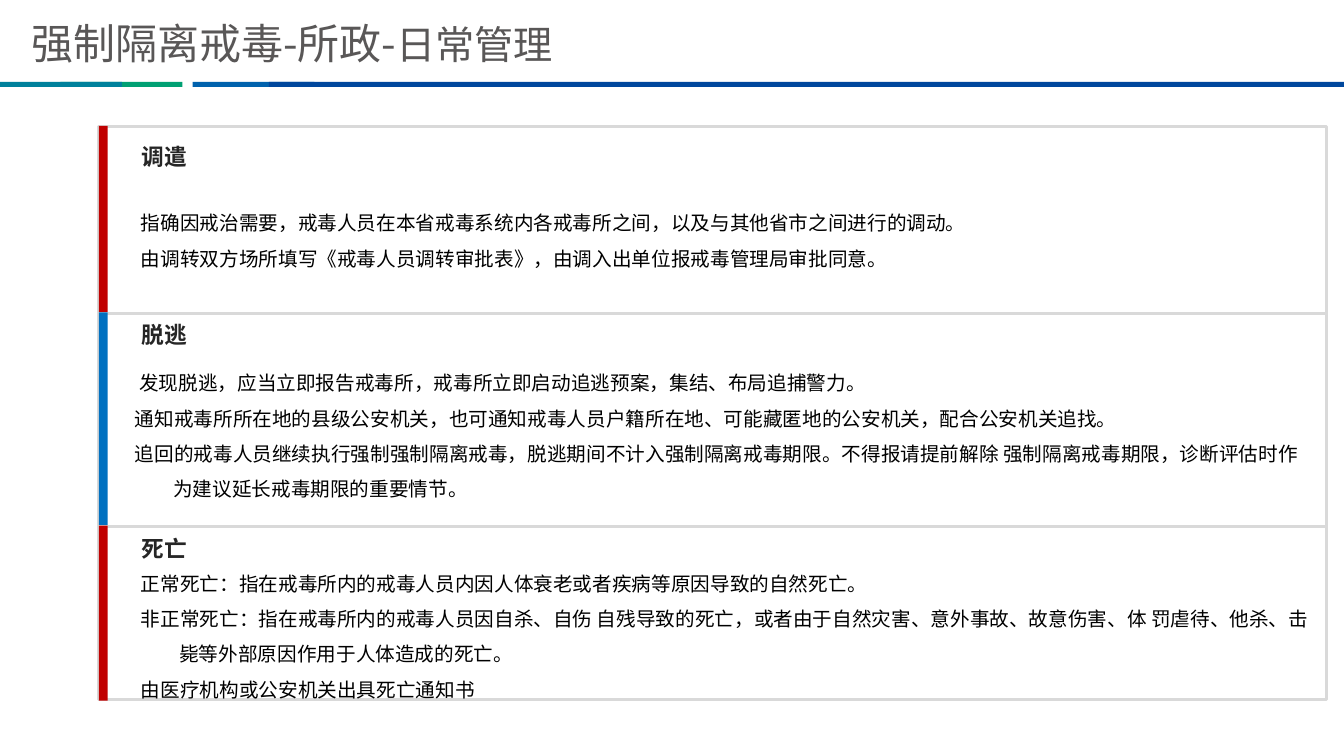
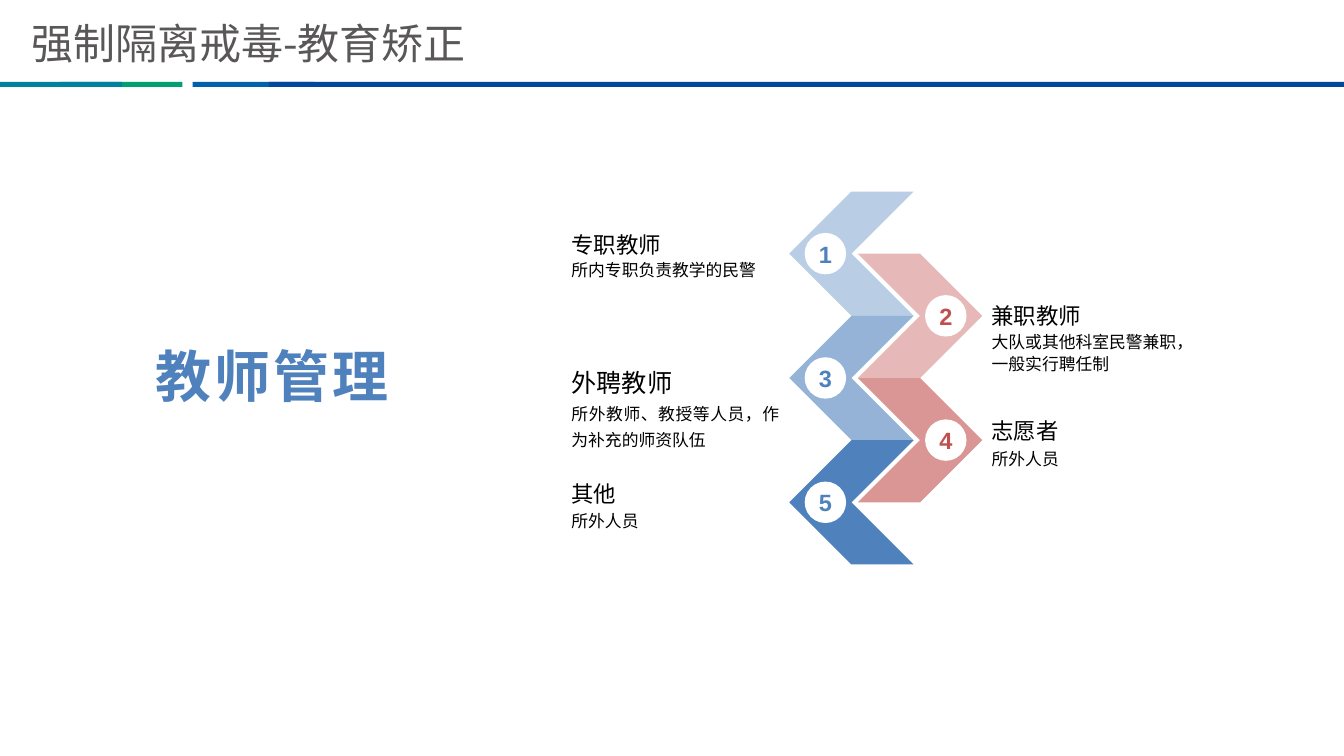
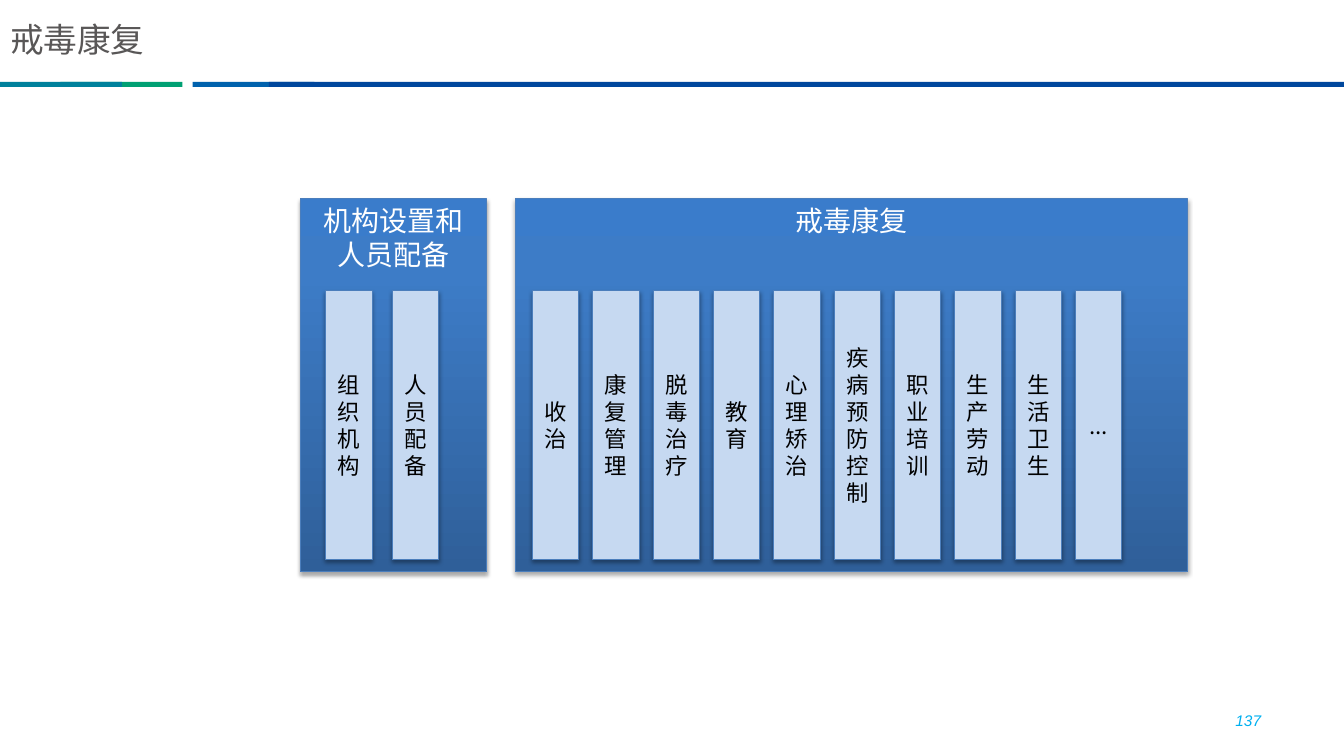
from lxml import etree
from pptx import Presentation
from pptx.dml.color import RGBColor
from pptx.enum.shapes import MSO_SHAPE
from pptx.enum.text import MSO_ANCHOR, MSO_AUTO_SIZE, PP_ALIGN
from pptx.oxml.ns import qn
from pptx.util import Pt

RECTANGLE, CHEVRON, OVAL = MSO_SHAPE.RECTANGLE, MSO_SHAPE.CHEVRON, MSO_SHAPE.OVAL
TOP, MIDDLE, BOTTOM = MSO_ANCHOR.TOP, MSO_ANCHOR.MIDDLE, MSO_ANCHOR.BOTTOM
LEFT, CENTER, RIGHT, JUSTIFY = PP_ALIGN.LEFT, PP_ALIGN.CENTER, PP_ALIGN.RIGHT, PP_ALIGN.JUSTIFY
NO_FIT = MSO_AUTO_SIZE.NONE

CJK, LATIN = "Noto Sans CJK SC", "Arial"
INSETS = (7.2, 3.6, 7.2, 3.6)
COLORS = {
    "white": "FFFFFF", "black": "000000", "title": "595757", "heading": "262626",
    "teal": "00819C", "green": "00A073", "blue": "0062AD", "navy": "00479D",
    "frame": "D9D9D9", "red": "C00000", "azure": "0070C0", "number": "00B0F0",
    "left": "4F81BD", "right": "C0504D",
    "step1": "B9CDE5", "step2": "E6B9B8", "step3": "95B3D7", "step4": "D99694", "step5": "4F81BD",
    "bar": "C6D9F1", "edge": "4B7EBC",
    "panel_low": "2F5F99", "panel_mid": "3D7CC7", "panel_high": "3A7CCB",
}
BANDS = [("green", 43.2, 87.1), ("blue", 137.5, 87.1), ("navy", 192, 768), ("teal", 0, 87.1)]

SECTIONS = [
    ("调遣", "red", 90.5, 133.2, 6.7, (23, 42.7, 821, 69), [
        "指确因戒治需要，戒毒人员在本省戒毒系统内各戒毒所之间，以及与其他省市之间进行的调动。",
        "由调转双方场所填写《戒毒人员调转审批表》，由调入出单位报戒毒管理局审批同意。",
    ]),
    ("脱逃", "azure", 223.7, 152.3, 1, (18.7, 42, 858, 83), [
        " 发现脱逃，应当立即报告戒毒所，戒毒所立即启动追逃预案，集结、布局追捕警力。",
        "通知戒毒所所在地的县级公安机关，也可通知戒毒人员户籍所在地、可能藏匿地的公安机关，配合公安机关追找。",
        "追回的戒毒人员继续执行强制强制隔离戒毒，脱逃期间不计入强制隔离戒毒期限。"
        "不得报请提前解除 强制隔离戒毒期限，诊断评估时作为建议延长戒毒期限的重要情节。",
    ]),
    ("死亡", "red", 376, 124, 1.3, (23, 30.8, 851, 87), [
        "正常死亡：指在戒毒所内的戒毒人员内因人体衰老或者疾病等原因导致的自然死亡。",
        "非正常死亡：指在戒毒所内的戒毒人员因自杀、自伤 自残导致的死亡，或者由于自然灾害、"
        "意外事故、故意伤害、体 罚虐待、他杀、击毙等外部原因作用于人体造成的死亡。",
        "由医疗机构或公安机关出具死亡通知书",
    ]),
]

TEACHERS = [
    ("专职教师", "所内专职负责教学的民警", 16, 1.1, 49, JUSTIFY),
    ("兼职教师", "大队或其他科室民警兼职，一般实行聘任制", 16, 1.1, 78.5, LEFT),
    ("外聘教师", "所外教师、教授等人员，作为补充的师资队伍", 18, 1.3, 86.4, JUSTIFY),
    ("志愿者", "所外人员", 16, 1.2, 49, JUSTIFY),
    ("其他", "所外人员", 16, 1.2, 49, JUSTIFY),
]

PANELS = [
    ("戒毒康复", 367.9, 480.5, 12.4, 43.1,
     ["收治", "康复管理", "脱毒治疗", "教育", "心理矫治", "疾病预防控制", "职业培训", "生产劳动", "生活卫生", "..."]),
    ("机构设置和人员配备", 214.4, 133.4, 18.2, 47.5, ["组织机构", "人员配备"]),
]


def rgb(name):
    """Return the named palette colour."""
    return RGBColor.from_string(COLORS[name])


def write_text(para, text, size, color="black", font=CJK, bold=False, italic=False, spacing=0,
               align=LEFT, line_spacing=None, hanging=0):
    """Add a span to a paragraph and format both."""
    para.alignment = align
    if line_spacing:
        para.line_spacing = line_spacing
    if hanging:
        props = para._p.get_or_add_pPr()
        props.set("marL", str(Pt(hanging)))
        props.set("indent", str(-Pt(hanging)))
    span = para.add_run()
    span.text = text
    span.font.name = font
    span.font.size = Pt(size)
    span.font.bold = bold
    span.font.italic = italic
    span.font.color.rgb = rgb(color)
    props = span.font._element
    etree.SubElement(props, qn("a:ea")).set("typeface", CJK)
    if spacing:
        props.set("spc", str(round(spacing * 100)))


def prepare_frame(shape, anchor=MIDDLE, insets=INSETS):
    """Set wrapping, anchor and margins, and return the text frame."""
    frame = shape.text_frame
    frame.word_wrap = True
    frame.auto_size = NO_FIT
    frame.vertical_anchor = anchor
    frame.margin_left, frame.margin_top, frame.margin_right, frame.margin_bottom = map(Pt, insets)
    return frame


def add_text_box(page, left, top, width, height, **options):
    """Add a text box and return its frame."""
    box = page.shapes.add_textbox(Pt(left), Pt(top), Pt(width), Pt(height))
    return prepare_frame(box, **options)


def add_block(page, kind, left, top, width, height, fill, line=None, line_width=0.75):
    """Add a flat preset shape."""
    block = page.shapes.add_shape(kind, Pt(left), Pt(top), Pt(width), Pt(height))
    block.shadow.inherit = False
    block.fill.solid()
    block.fill.fore_color.rgb = rgb(fill)
    if line:
        block.line.color.rgb = rgb(line)
        block.line.width = Pt(line_width)
    else:
        block.line.fill.background()
    return block


def add_shadow(block):
    """Give a block a soft shadow below it."""
    effects = block.element.spPr.find(qn("a:effectLst"))
    shadow = etree.SubElement(effects, qn("a:outerShdw"), blurRad=str(Pt(3.1)), dist=str(Pt(1.8)),
                              dir="5400000", rotWithShape="0")
    color = etree.SubElement(shadow, qn("a:srgbClr"), val=COLORS["black"])
    etree.SubElement(color, qn("a:alpha"), val="35000")


def shade_panel(block):
    """Fill a block with the panel gradient, dark at the bottom."""
    block.fill.gradient()
    block.fill.gradient_angle = 90
    stops = block.element.spPr.find(".//" + qn("a:gsLst"))
    for stop in list(stops):
        stops.remove(stop)
    for position, name in [(0, "panel_low"), (80, "panel_mid"), (100, "panel_high")]:
        stop = etree.SubElement(stops, qn("a:gs"), pos=str(position * 1000))
        etree.SubElement(stop, qn("a:srgbClr"), val=COLORS[name])


def add_bands(layout, page):
    """Draw the header bands and hand them to the layout."""
    for name, left, width in BANDS:
        band = add_block(page, RECTANGLE, left, 58.5, width, 3.6, name)
        layout.shapes.element.append(band.element)


def add_page(deck, layout, spans, left=15, top=10.8):
    """Add a page with its title made of (text, size) spans."""
    page = deck.slides.add_slide(layout)
    title = page.shapes.title
    title.left, title.top, title.width, title.height = Pt(left), Pt(top), Pt(430.6), Pt(38.9)
    para = prepare_frame(title).paragraphs[0]
    for text, size in spans:
        write_text(para, text, size, "title")
    return page


def add_section(page, left, width, section):
    """Draw one framed section with its side bar, heading and body."""
    heading, color, top, height, heading_gap, body, lines = section
    add_block(page, RECTANGLE, left, top, width, height, "white", "frame", 2)
    add_block(page, RECTANGLE, left, top - 0.5, 6.3, height + 1, color)
    frame = add_text_box(page, left + 23.7, top + heading_gap, 623, 28.8)
    write_text(frame.paragraphs[0], heading, 16.2, "heading", LATIN, bold=True)
    body_left, body_top, body_width, body_height = body
    frame = add_text_box(page, left + body_left, top + body_top, body_width, body_height)
    for index, line in enumerate(lines):
        para = frame.add_paragraph() if index else frame.paragraphs[0]
        write_text(para, line, 14, line_spacing=1.5, hanging=27.4)


def add_teacher(page, left, top, index, teacher):
    """Draw one chevron step with its number and its label."""
    name, detail, size, line_spacing, height, align = teacher
    on_right = index % 2 == 1
    step_left = left + 49 if on_right else left
    step_top = top + index * 44.4
    chevron = add_block(page, CHEVRON, step_left, step_top, 88.8, 88.8, f"step{index + 1}")
    chevron.rotation = 0 if on_right else 180
    badge = add_block(page, OVAL, step_left + (48 if on_right else 11), step_top + 29.6, 29.6, 29.6, "white")
    para = prepare_frame(badge, insets=(0, 0, 0, 0)).paragraphs[0]
    write_text(para, str(index + 1), 16.8, "right" if on_right else "left", LATIN, bold=True, align=CENTER)
    label_left = left + 137.5 if on_right else left - 162.7
    frame = add_text_box(page, label_left, step_top + 20, 162.7, height)
    style = {"font": LATIN, "align": align, "line_spacing": line_spacing}
    write_text(frame.paragraphs[0], name, size, **style)
    write_text(frame.add_paragraph(), detail, 12, **style)


def add_panel(page, top, panel):
    """Draw one shaded panel with its heading and its upright bars."""
    heading, left, width, offset, pitch, labels = panel
    block = add_block(page, RECTANGLE, left, top, width, 266.6, "panel_mid", "edge")
    shade_panel(block)
    add_shadow(block)
    write_text(prepare_frame(block, TOP).paragraphs[0], heading, 20, "white", align=CENTER)
    for index, label in enumerate(labels):
        bar = add_block(page, RECTANGLE, left + offset + index * pitch, top + 65.8, 33.2, 192.2, "bar", "edge")
        add_shadow(bar)
        write_text(prepare_frame(bar).paragraphs[0], label, 16, align=CENTER)


def main():
    """Build the deck."""
    deck = Presentation()
    deck.slide_width, deck.slide_height = Pt(960), Pt(540)
    layout = deck.slide_layouts[5]

    page = add_page(deck, layout, [("强制隔离戒毒-所政-", 30), ("日常管理", 28)])
    add_bands(layout, page)
    for section in SECTIONS:
        add_section(page, 70.6, 877, section)

    page = add_page(deck, layout, [("强制隔离戒毒-教育矫正", 30)])
    for index, teacher in enumerate(TEACHERS):
        add_teacher(page, 563.8, 136.8, index, teacher)
    frame = add_text_box(page, 87.8, 225.4, 213, 69, anchor=BOTTOM, insets=(5, 2.2, 5, 2.2))
    write_text(frame.paragraphs[0], "教师管理", 40, "left", bold=True, spacing=2.4,
               align=CENTER, line_spacing=1.1)

    page = add_page(deck, layout, [("戒毒康复", 24)], 0, 8.6)
    for panel in PANELS:
        add_panel(page, 141.8, panel)
    frame = add_text_box(page, 684, 500.4, 224, 28.8)
    write_text(frame.paragraphs[0], "137", 11, "number", LATIN, italic=True, align=RIGHT)

    deck.save("out.pptx")


if __name__ == "__main__":
    main()
